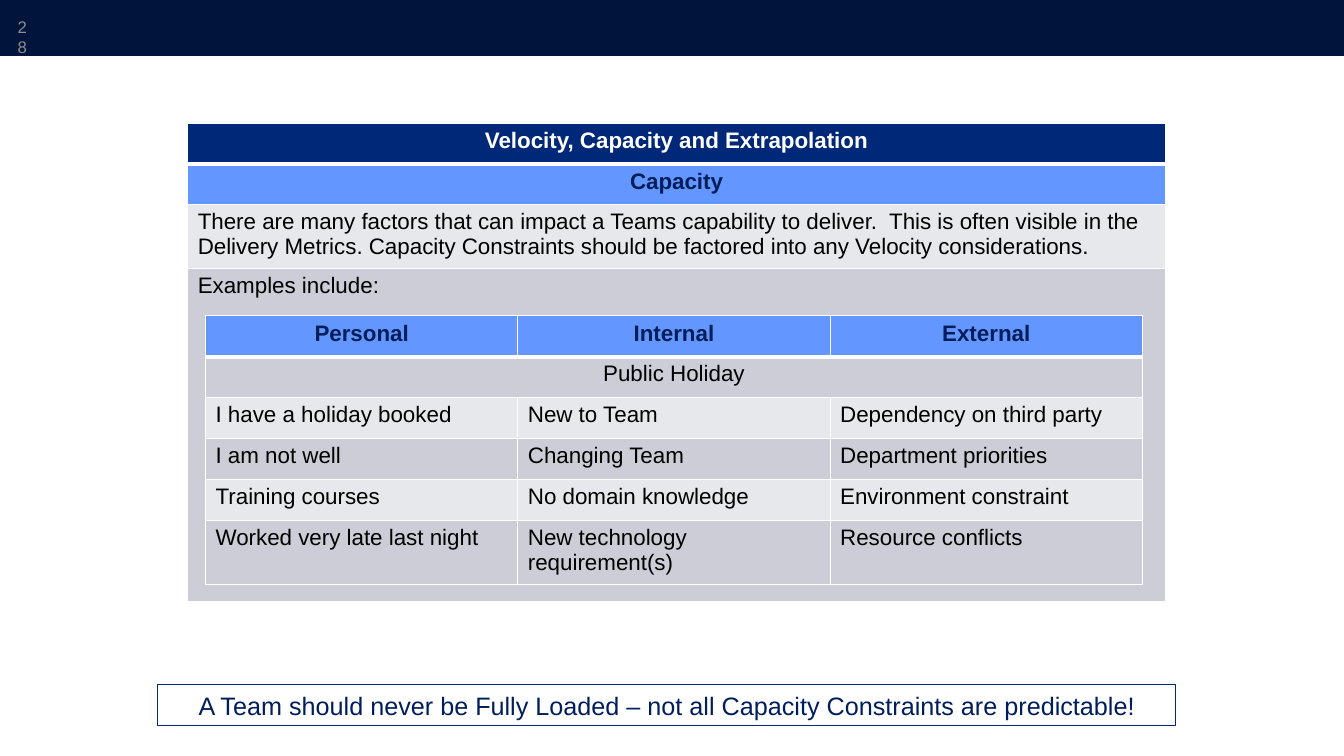
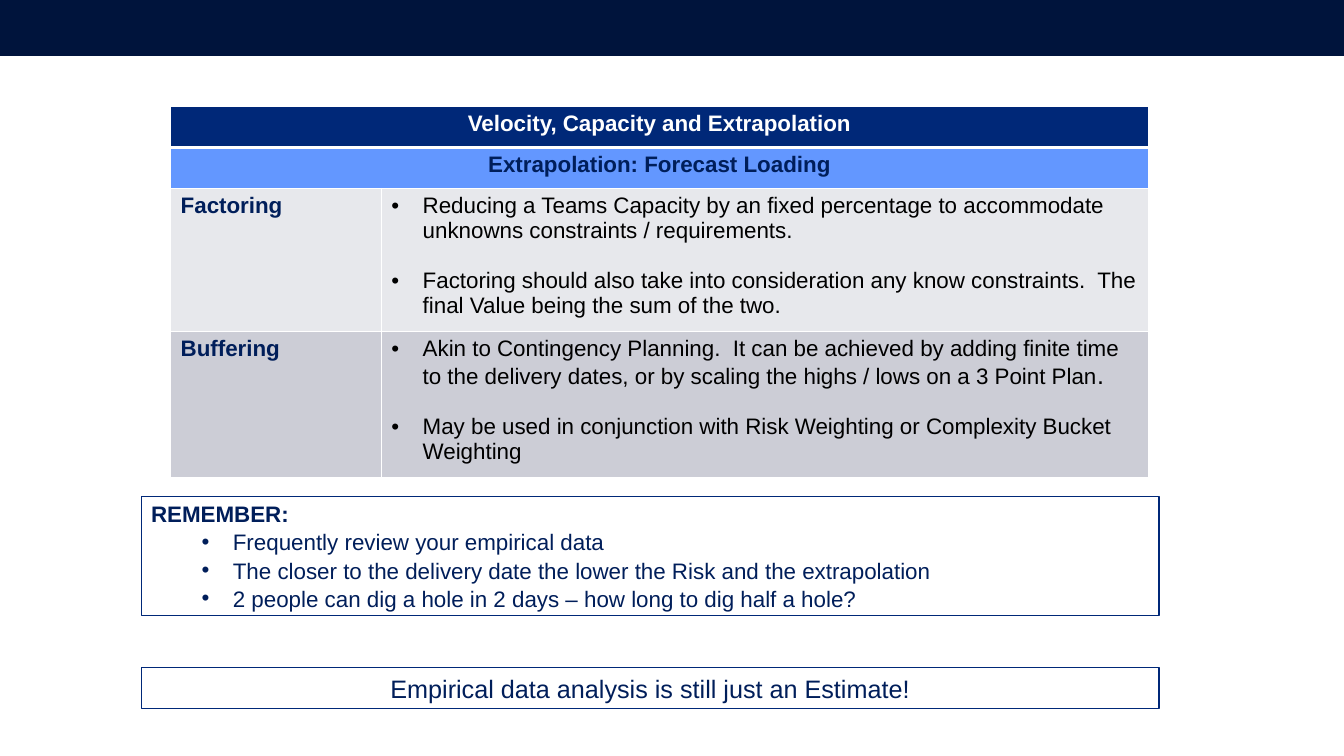
from lxml import etree
from pptx import Presentation
from pptx.dml.color import RGBColor
from pptx.enum.shapes import MSO_SHAPE
from pptx.enum.text import MSO_ANCHOR, PP_ALIGN
from pptx.oxml.ns import qn
from pptx.util import Cm, Pt

RECTANGLE = MSO_SHAPE.RECTANGLE
LEFT, CENTER, RIGHT = PP_ALIGN.LEFT, PP_ALIGN.CENTER, PP_ALIGN.RIGHT
TOP, MIDDLE = MSO_ANCHOR.TOP, MSO_ANCHOR.MIDDLE

FONT = "Arial"
COLORS = {
    "band": "00143C", "navy": "002878", "ink": "001E5A", "blue": "6397FF",
    "light": "E7E8EC", "dark": "CCCDD6", "black": "000000", "white": "FFFFFF",
    "grey": "8C8C8C",
}
# row style: fill, text colour, bold, alignment
ROW_STYLES = {
    "title": ("navy", "white", True, CENTER),
    "heading": ("blue", "ink", True, CENTER),
    "light": ("light", "black", False, LEFT),
    "dark": ("dark", "black", False, LEFT),
    "dark centred": ("dark", "black", False, CENTER),
}
SLIDE_WIDTH, SLIDE_HEIGHT, BAND_HEIGHT = 33.87, 19.05, 1.41
ROW_HEIGHT = 1.03
CALLOUT_WIDTH, CALLOUT_HEIGHT = 25.65, 1.03
BULLET_HANG = 0.79
TOPIC = "Velocity, Capacity and Extrapolation"

# Table rows: style, height, cells. A single cell spans all columns.
# A list in a cell holds bullets; a bullet is a list of (text, size) runs.
CAPACITY_TABLE = {
    "left": 4.73, "top": 3.1, "columns": [24.64],
    "rows": [
        ("title", ROW_HEIGHT, [TOPIC]),
        ("heading", ROW_HEIGHT, ["Capacity"]),
        ("light", 1.6, [
            "There are many factors that can impact a Teams capability to deliver.  "
            "This is often visible in the Delivery Metrics. Capacity Constraints "
            "should be factored into any Velocity considerations."]),
        ("dark", 8.39, ["Examples include:"]),
    ],
}
EXAMPLES_TABLE = {
    "left": 5.18, "top": 7.96, "columns": [7.87] * 3,
    "rows": [
        ("heading", ROW_HEIGHT, ["Personal", "Internal", "External"]),
        ("dark centred", ROW_HEIGHT, ["Public Holiday"]),
        ("light", ROW_HEIGHT,
         ["I have a holiday booked", "New to Team", "Dependency on third party"]),
        ("dark", ROW_HEIGHT, ["I am not well", "Changing Team", "Department priorities"]),
        ("light", ROW_HEIGHT,
         ["Training courses", "No domain knowledge", "Environment constraint"]),
        ("dark", 1.62, ["Worked very late last night",
                        "New technology requirement(s)", "Resource conflicts"]),
    ],
}
LOADING_TABLE = {
    "left": 4.3, "top": 2.69, "columns": [5.31, 19.33], "bold_labels": True,
    "rows": [
        ("title", ROW_HEIGHT, [TOPIC]),
        ("heading", ROW_HEIGHT, ["Extrapolation: Forecast Loading"]),
        ("light", 3.4, ["Factoring", [
            [("Reducing a Teams Capacity by an fixed percentage to accommodate "
              "unknowns constraints / requirements.", 16)],
            [("Factoring should also take into consideration any know constraints.  "
              "The final Value being the sum of the two.", 16)]]]),
        ("dark", 3.55, ["Buffering", [
            [("Akin to Contingency Planning.  It can be achieved by adding finite time "
              "to the delivery dates, or by scaling the highs / lows on a 3 Point Plan",
              16), (".", 18)],
            [("May be used in conjunction with Risk Weighting or Complexity Bucket "
              "Weighting", 16)]]]),
    ],
}
REMEMBER_TITLE = "REMEMBER:"
REMEMBER_POINTS = [
    "Frequently review your empirical data",
    "The closer to the delivery date the lower the Risk and the extrapolation",
    "2 people can dig a hole in 2 days – how long to dig half a hole?",
]
CAPACITY_CALLOUT = ("A Team should never be Fully Loaded – "
                    "not all Capacity Constraints are predictable!")
LOADING_CALLOUT = "Empirical data analysis is still just an Estimate!"


def rgb(name):
    return RGBColor.from_string(COLORS[name])


def write_runs(paragraph, runs, color, bold=False, align=LEFT):
    paragraph.alignment = align
    for text, size in runs:
        run = paragraph.add_run()
        run.text = text
        run.font.name, run.font.size, run.font.bold = FONT, Pt(size), bold
        run.font.color.rgb = rgb(color)


def add_bullet(paragraph, indent):
    properties = paragraph._p.get_or_add_pPr()
    properties.set("marL", str(Cm(indent)))
    properties.set("indent", str(-Cm(BULLET_HANG)))
    etree.SubElement(properties, qn("a:buFont")).set("typeface", FONT)
    etree.SubElement(properties, qn("a:buChar")).set("char", "•")


def set_borders(cell, top, bottom):
    properties = cell._tc.get_or_add_tcPr()
    widths = [("L", 1), ("R", 1), ("T", top), ("B", bottom)]
    for position, (side, width) in enumerate(widths):
        line = etree.Element(qn(f"a:ln{side}"), w=str(Pt(width)))
        fill = etree.SubElement(line, qn("a:solidFill"))
        etree.SubElement(fill, qn("a:srgbClr")).set("val", COLORS["white"])
        properties.insert(position, line)


def fill_cell(cell, content, color, bold, align):
    frame = cell.text_frame
    if isinstance(content, str):
        write_runs(frame.paragraphs[0], [(content, 16)], color, bold, align)
        return
    for index, runs in enumerate(content):
        paragraph = frame.add_paragraph() if index else frame.paragraphs[0]
        add_bullet(paragraph, BULLET_HANG)
        if index:
            paragraph.space_before = Pt(18)
        write_runs(paragraph, runs, color, bold, align)


def add_table(slide, data):
    columns, rows = data["columns"], data["rows"]
    table = slide.shapes.add_table(
        len(rows), len(columns), Cm(data["left"]), Cm(data["top"]),
        Cm(sum(columns)), Cm(sum(height for _, height, _ in rows))).table
    for column, width in zip(table.columns, columns):
        column.width = Cm(width)
    for row_index, (style, height, contents) in enumerate(rows):
        fill, color, bold, align = ROW_STYLES[style]
        table.rows[row_index].height = Cm(height)
        cells = [table.cell(row_index, index) for index in range(len(columns))]
        for cell in cells:
            cell.fill.solid()
            cell.fill.fore_color.rgb = rgb(fill)
            set_borders(cell, 3 if row_index == 1 else 1, 1 if row_index else 3)
        if len(contents) < len(columns):
            cells[0].merge(cells[-1])
        for index, content in enumerate(contents):
            if data.get("bold_labels") and len(contents) > 1 and index == 0:
                fill_cell(cells[index], content, "ink", True, align)
            else:
                fill_cell(cells[index], content, color, bold, align)


def add_box(slide, left, top, width, height, fill=None, line=None):
    shape = slide.shapes.add_shape(RECTANGLE, Cm(left), Cm(top), Cm(width), Cm(height))
    shape.shadow.inherit = False
    if fill:
        shape.fill.solid()
        shape.fill.fore_color.rgb = rgb(fill)
    else:
        shape.fill.background()
    if line:
        shape.line.color.rgb = rgb(line)
        shape.line.width = Pt(0.75)
    else:
        shape.line.fill.background()
    frame = shape.text_frame
    frame.word_wrap = True
    frame.vertical_anchor = MIDDLE
    return shape


def add_callout(slide, left, top, text):
    shape = add_box(slide, left, top, CALLOUT_WIDTH, CALLOUT_HEIGHT, line="navy")
    write_runs(shape.text_frame.paragraphs[0], [(text, 18)], "ink", align=CENTER)


def add_reminder(slide, left, top):
    frame = add_box(slide, left, top, CALLOUT_WIDTH, 3, line="navy").text_frame
    write_runs(frame.paragraphs[0], [(REMEMBER_TITLE, 16)], "ink", bold=True)
    for point in REMEMBER_POINTS:
        paragraph = frame.add_paragraph()
        paragraph.level = 1
        add_bullet(paragraph, 2.06)
        paragraph.space_before = Pt(1)
        write_runs(paragraph, [(point, 16)], "ink")


def add_page_number(slide, number):
    frame = slide.shapes.add_textbox(Cm(0.43), Cm(0.43), Cm(0.25), Cm(1)).text_frame
    frame.margin_left = frame.margin_right = frame.margin_top = frame.margin_bottom = 0
    frame.word_wrap = True
    frame.vertical_anchor = TOP
    write_runs(frame.paragraphs[0], [(number, 12)], "grey", align=RIGHT)


def move_to_master(presentation, shape):
    """Make the shape part of every slide, behind all else."""
    presentation.slide_master.element.cSld.spTree.insert(2, shape.element)


def main():
    presentation = Presentation()
    presentation.slide_width = Cm(SLIDE_WIDTH)
    presentation.slide_height = Cm(SLIDE_HEIGHT)
    blank = presentation.slide_layouts[6]

    capacity = presentation.slides.add_slide(blank)
    band = add_box(capacity, 0, 0, SLIDE_WIDTH, BAND_HEIGHT, fill="band")
    move_to_master(presentation, band)
    add_callout(capacity, 3.98, 17.26, CAPACITY_CALLOUT)
    add_table(capacity, CAPACITY_TABLE)
    add_table(capacity, EXAMPLES_TABLE)
    add_page_number(capacity, "28")

    loading = presentation.slides.add_slide(blank)
    add_table(loading, LOADING_TABLE)
    add_reminder(loading, 3.56, 12.51)
    add_callout(loading, 3.56, 16.83, LOADING_CALLOUT)

    presentation.save("out.pptx")


if __name__ == "__main__":
    main()
